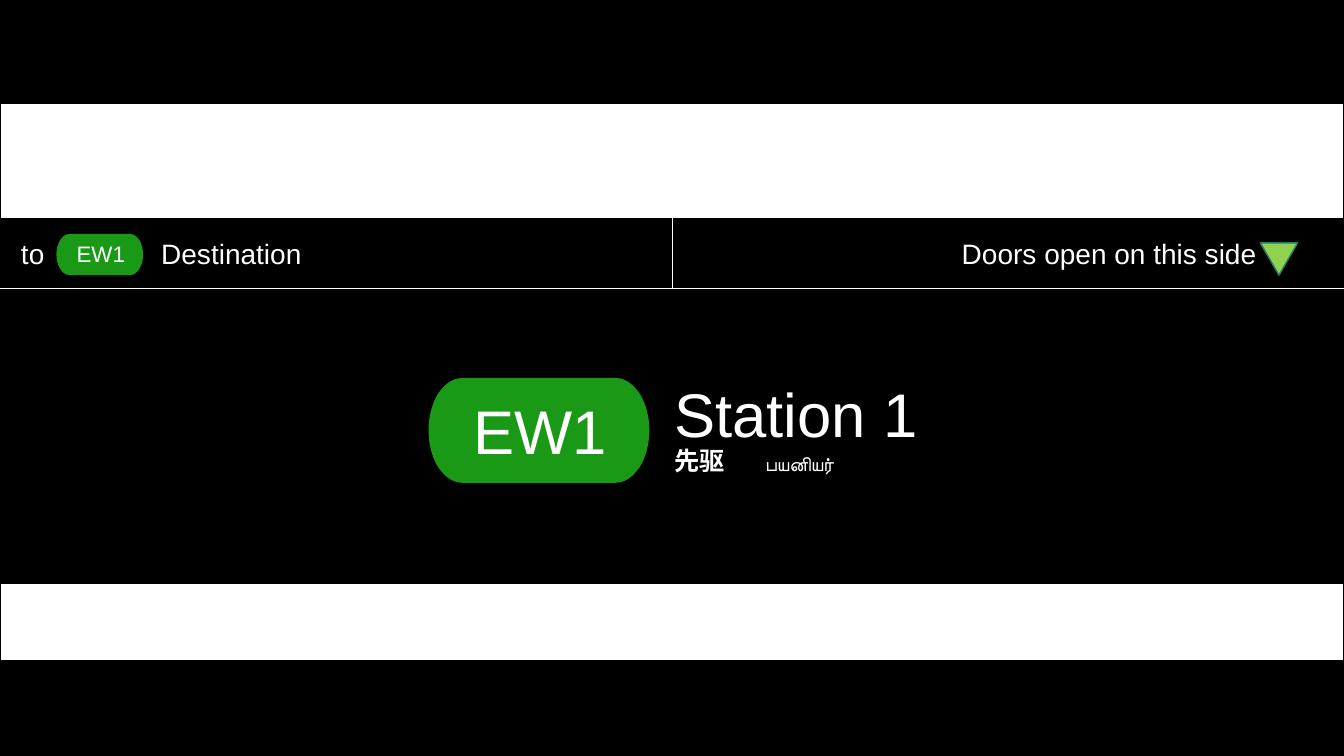
from lxml import etree
from pptx import Presentation
from pptx.dml.color import RGBColor
from pptx.enum.shapes import MSO_CONNECTOR, MSO_SHAPE
from pptx.enum.text import MSO_ANCHOR, MSO_AUTO_SIZE, PP_ALIGN
from pptx.oxml.ns import qn
from pptx.util import Inches, Pt

RECTANGLE = MSO_SHAPE.RECTANGLE
TRIANGLE = MSO_SHAPE.ISOSCELES_TRIANGLE
STRAIGHT = MSO_CONNECTOR.STRAIGHT
MIDDLE = MSO_ANCHOR.MIDDLE
FIT_TEXT = MSO_AUTO_SIZE.SHAPE_TO_FIT_TEXT
LEFT, CENTER = PP_ALIGN.LEFT, PP_ALIGN.CENTER

COLORS = {
    "black": "000000",
    "white": "FFFFFF",
    "line_green": "1A9917",
    "door_green": "92D050",
    "door_edge": "1E8168",
}
SLIDE_WIDTH, SLIDE_HEIGHT = 13.33, 7.5
HEADER_TOP, HEADER_BOTTOM = 2.16, 2.86
BANDS = [(1.03, 1.14), (5.79, 0.77)]
DIVIDERS = [
    (0, HEADER_BOTTOM, SLIDE_WIDTH, HEADER_BOTTOM),
    (SLIDE_WIDTH / 2, HEADER_TOP, SLIDE_WIDTH / 2, HEADER_BOTTOM),
]
HEADER_TEXTS = [
    ("to\tDestination", (0.11, 2.3, 4.42, 0.44), {"size": 20, "tab": 1.39}),
    ("Doors open on this side", (9.44, 2.3, 3.52, 0.44), {"size": 20}),
]
STATION_NAMES = [
    ("Station 1", (6.59, 3.68, 3.08, 0.84), {"size": 44}),
    ("先驱", (6.59, 4.37, 2.83, 0.4), {"size": 18, "font": "Lato", "bold": True}),
    ("பயனியர்", (7.49, 4.43, 3.71, 0.34), {"size": 14}),
]
DOOR_ARROW = (12.5, 2.41, 0.37, 0.32)
BADGES = [
    ("EW1", (4.25, 3.75, 2.19, 1.04), 44),
    ("EW1", (0.56, 2.32, 0.86, 0.41), 16),
]
BADGE_GRID = 1000
BADGE_CORNER = [(0, 500), (0, 375), (14, 250), (45, 144), (60, 106), (92, 0), (155, 0)]
BADGE_HALF = [("cubicBezTo", 3), ("cubicBezTo", 3), ("lnTo", 1),
              ("cubicBezTo", 3), ("cubicBezTo", 3)]


def color(name):
    return RGBColor.from_string(COLORS[name])


def write_text(shape, text, size, font="Arial", bold=False, align=LEFT, tab=None):
    paragraph = shape.text_frame.paragraphs[0]
    paragraph.alignment = align
    if tab:
        properties = paragraph._p.get_or_add_pPr()
        stops = etree.SubElement(properties, qn("a:tabLst"))
        etree.SubElement(stops, qn("a:tab"), pos=str(Inches(tab)), algn="l")
    run = paragraph.add_run()
    run.text = text
    run.font.size = Pt(size)
    run.font.name = font
    run.font.bold = bold
    run.font.color.rgb = color("white")


def add_text(shapes, text, box, **text_format):
    shape = shapes.add_textbox(*map(Inches, box))
    shape.text_frame.word_wrap = True
    shape.text_frame.auto_size = FIT_TEXT
    write_text(shape, text, **text_format)


def paint(shape, fill, line=None):
    shape.shadow.inherit = False
    shape.fill.solid()
    shape.fill.fore_color.rgb = color(fill)
    if line:
        shape.line.color.rgb = color(line)
        shape.line.width = Pt(1)
    else:
        shape.line.fill.background()


def add_preset(shapes, preset, box, fill, line):
    shape = shapes.add_shape(preset, *map(Inches, box))
    paint(shape, fill, line)
    return shape


def add_divider(shapes, ends):
    connector = shapes.add_connector(STRAIGHT, *map(Inches, ends))
    connector.line.color.rgb = color("white")
    connector.line.width = Pt(0.5)
    etree.SubElement(connector._element.spPr, qn("a:effectLst"))


def add_segment(outline, command, points):
    segment = etree.SubElement(outline, qn(f"a:{command}"))
    for x, y in points:
        etree.SubElement(segment, qn("a:pt"), x=str(x), y=str(y))


def round_outline(shape):
    outline = next(shape._element.iter(qn("a:path")))
    for segment in list(outline):
        outline.remove(segment)
    outline.set("w", str(BADGE_GRID))
    outline.set("h", str(BADGE_GRID))
    top = BADGE_CORNER + [(BADGE_GRID - x, y) for x, y in reversed(BADGE_CORNER)]
    bottom = [(x, BADGE_GRID - y) for x, y in reversed(top)]
    add_segment(outline, "moveTo", top[:1])
    for half in (top, bottom):
        start = 1
        for command, count in BADGE_HALF:
            add_segment(outline, command, half[start:start + count])
            start += count
    etree.SubElement(outline, qn("a:close"))


def add_badge(shapes, text, box, size):
    left, top, width, height = map(Inches, box)
    right, bottom = left + width, top + height
    builder = shapes.build_freeform(left, top)
    builder.add_line_segments([(right, top), (right, bottom), (left, bottom)])
    shape = builder.convert_to_shape()
    round_outline(shape)
    paint(shape, "line_green")
    frame = shape.text_frame
    frame.vertical_anchor = MIDDLE
    frame.margin_right = frame.margin_top = 0
    frame.margin_left = frame.margin_bottom = Inches(0.02)
    write_text(shape, text, size, align=CENTER)


def main():
    presentation = Presentation()
    presentation.slide_width = Inches(SLIDE_WIDTH)
    presentation.slide_height = Inches(SLIDE_HEIGHT)
    slide = presentation.slides.add_slide(presentation.slide_layouts[6])
    slide.background.fill.solid()
    slide.background.fill.fore_color.rgb = color("black")
    shapes = slide.shapes

    for top, height in BANDS:
        add_preset(shapes, RECTANGLE, (0, top, SLIDE_WIDTH, height), "white", "black")
    for ends in DIVIDERS:
        add_divider(shapes, ends)
    for text, box, text_format in HEADER_TEXTS:
        add_text(shapes, text, box, **text_format)
    door_arrow = add_preset(shapes, TRIANGLE, DOOR_ARROW, "door_green", "door_edge")
    door_arrow.rotation = 180

    station = shapes.add_group_shape()
    for text, box, text_format in STATION_NAMES:
        add_text(station.shapes, text, box, **text_format)
    for text, box, size in BADGES:
        add_badge(shapes, text, box, size)

    presentation.save("out.pptx")


if __name__ == "__main__":
    main()
